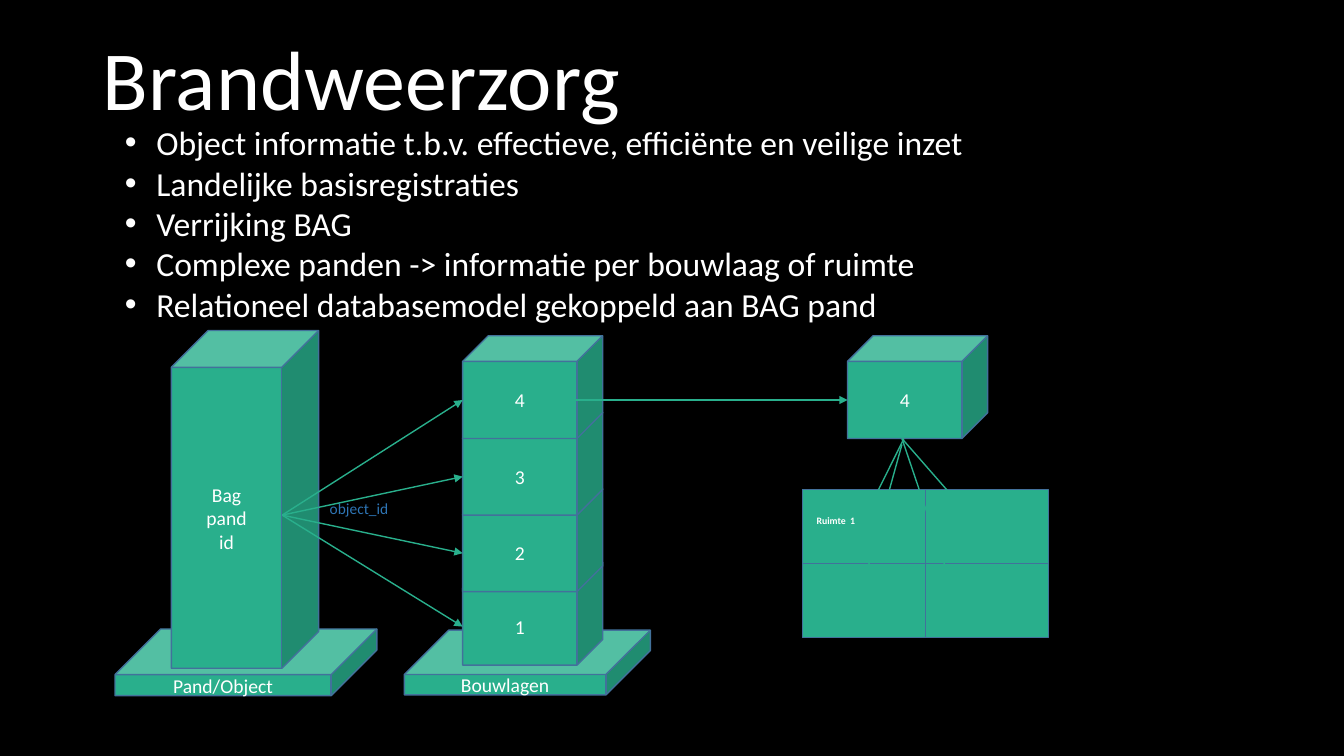
from typing import NamedTuple

from lxml import etree
from pptx import Presentation
from pptx import util as u
from pptx.dml.color import RGBColor
from pptx.enum import shapes, text
from pptx.oxml.ns import qn

GREEN, EDGE, WHITE = "29AF8C", "42719B", "FFFFFF"


class Box(NamedTuple):
    left: float
    top: float
    width: float
    height: float


class Cube(NamedTuple):
    box: Box
    label: str
    depth: float = 0.25


class Arrow(NamedTuple):
    x1: float
    y1: float
    x2: float
    y2: float


def color(fmt, value: str) -> None:
    fmt.rgb = RGBColor.from_string(value)


def place(sp, box: Box) -> None:
    sp.left, sp.top, sp.width, sp.height = map(u.Cm, box)


def write(tf, lines: list[str], *, size: float = 14, fill: str = WHITE,
          bold: bool = False, align=text.PP_ALIGN.LEFT,
          anchor=text.MSO_ANCHOR.TOP, spacing: float = 1.0,
          inset: tuple[float, float] = (0.18, 0.1), indent: float = 0) -> None:
    tf.word_wrap = True
    tf.auto_size = text.MSO_AUTO_SIZE.NONE
    tf.vertical_anchor = anchor
    tf.margin_left = tf.margin_right = u.Cm(inset[0])
    tf.margin_top = tf.margin_bottom = u.Cm(inset[1])
    for i, line in enumerate(lines):
        p = tf.add_paragraph() if i else tf.paragraphs[0]
        p.text = line
        p.alignment = align
        p.line_spacing = spacing
        p.space_before = p.space_after = u.Pt(0)
        if indent:
            pPr = p._p.get_or_add_pPr()
            pPr.set("marL", str(u.Cm(indent)))
            pPr.set("indent", str(u.Cm(-indent)))
            etree.SubElement(pPr, qn("a:buChar")).set("char", "•")
        for r in p.runs:
            r.font.name = "Calibri"
            r.font.size = u.Pt(size)
            r.font.bold = bold
            color(r.font.color, fill)


def add_block(s, kind, box: Box):
    sp = s.shapes.add_shape(kind, *map(u.Cm, box))
    sp.shadow.inherit = False
    sp.fill.solid()
    color(sp.fill.fore_color, GREEN)
    color(sp.line.color, EDGE)
    sp.line.width = u.Pt(1)
    return sp


def add_cube(s, cube: Cube) -> None:
    sp = add_block(s, shapes.MSO_SHAPE.CUBE, cube.box)
    sp.adjustments[0] = cube.depth
    write(sp.text_frame, [cube.label], align=text.PP_ALIGN.CENTER,
          anchor=text.MSO_ANCHOR.MIDDLE)


def add_line(s, line: Arrow, stroke: str, width: float, head: bool = False):
    c = s.shapes.add_connector(shapes.MSO_CONNECTOR.STRAIGHT, *map(u.Cm, line))
    color(c.line.color, stroke)
    c.line.width = u.Pt(width)
    if head:
        etree.SubElement(c.line._get_or_add_ln(), qn("a:tailEnd")).set("type", "triangle")
    etree.SubElement(c._element.spPr, qn("a:effectLst"))
    return c


def add_label(s, box: Box, label: str, **fmt) -> None:
    write(s.shapes.add_textbox(*map(u.Cm, box)).text_frame, [label], **fmt)


def main() -> None:
    prs = Presentation()
    prs.slide_width, prs.slide_height = u.Cm(33.87), u.Cm(19.05)
    s = prs.slides.add_slide(prs.slide_layouts[1])
    s.background.fill.solid()
    color(s.background.fill.fore_color, "000000")

    title, body = s.shapes.title, s.placeholders[1]
    place(title, Box(2.34, 1.02, 29.21, 2.31))
    write(title.text_frame, ["Brandweerzorg"], size=60, spacing=0.8,
          anchor=text.MSO_ANCHOR.BOTTOM, inset=(0.25, 0.13))
    place(body, Box(2.9, 2.95, 23.09, 5.38))
    write(body.text_frame, [
        "Object informatie t.b.v. effectieve, efficiënte en veilige inzet",
        "Landelijke basisregistraties",
        "Verrijking BAG",
        "Complexe panden -> informatie per bouwlaag of ruimte",
        "Relationeel databasemodel gekoppeld aan BAG pand",
    ], size=24, inset=(0.25, 0.13), indent=0.79)

    floor_x, floor_w, floor_h, front_mid = 11.66, 3.53, 2.59, 1.62
    floor_tops = {"1": 14.17, "2": 12.32, "3": 10.39, "4": 8.46}
    top_y = floor_tops["4"]
    detail_x = 21.36

    cubes = [Cube(Box(10.19, 15.88, 6.2, 1.63), "Bouwlagen", 0.686)]
    cubes += [Cube(Box(floor_x, y, floor_w, floor_h), n) for n, y in floor_tops.items()]
    cubes += [
        Cube(Box(2.9, 15.85, 6.6, 1.68), "Pand/Object", 0.686),
        Cube(Box(4.32, 8.33, 3.71, 8.51), "Bag\vpand\vid"),
        Cube(Box(detail_x, top_y, floor_w, floor_h), "4"),
    ]
    for cube in cubes:
        add_cube(s, cube)

    arrows = [Arrow(7.11, 12.98, floor_x, y + front_mid) for y in floor_tops.values()]
    arrows += [
        Arrow(14.43, top_y + front_mid, detail_x, top_y + front_mid),
        Arrow(22.78, 11.05, 21.87, 12.88),
        Arrow(22.73, 11.2, 21.64, 15.14),
        Arrow(22.73, 11.05, 24.18, 15.34),
        Arrow(22.73, 11.05, 24.33, 12.88),
    ]

    plan = add_block(s, shapes.MSO_SHAPE.RECTANGLE, Box(20.22, 12.34, 6.2, 3.73))
    dividers = [(Arrow(23.32, 12.34, 23.32, 16.07), 0, 2),
                (Arrow(20.22, 14.2, 26.42, 14.2), 1, 3)]
    for line, start, end in dividers:
        c = add_line(s, line, EDGE, 0.75)
        c.begin_connect(plan, start)
        c.end_connect(plan, end)
    for arrow in arrows:
        add_line(s, arrow, GREEN, 1, head=True)

    add_label(s, Box(8.13, 12.47, 3.61, 0.94), "object_id", size=11, fill="2E75B5")
    add_label(s, Box(20.4, 12.88, 2.92, 1.02), "Ruimte  1", size=7, bold=True)
    prs.save("out.pptx")


if __name__ == "__main__":
    main()
